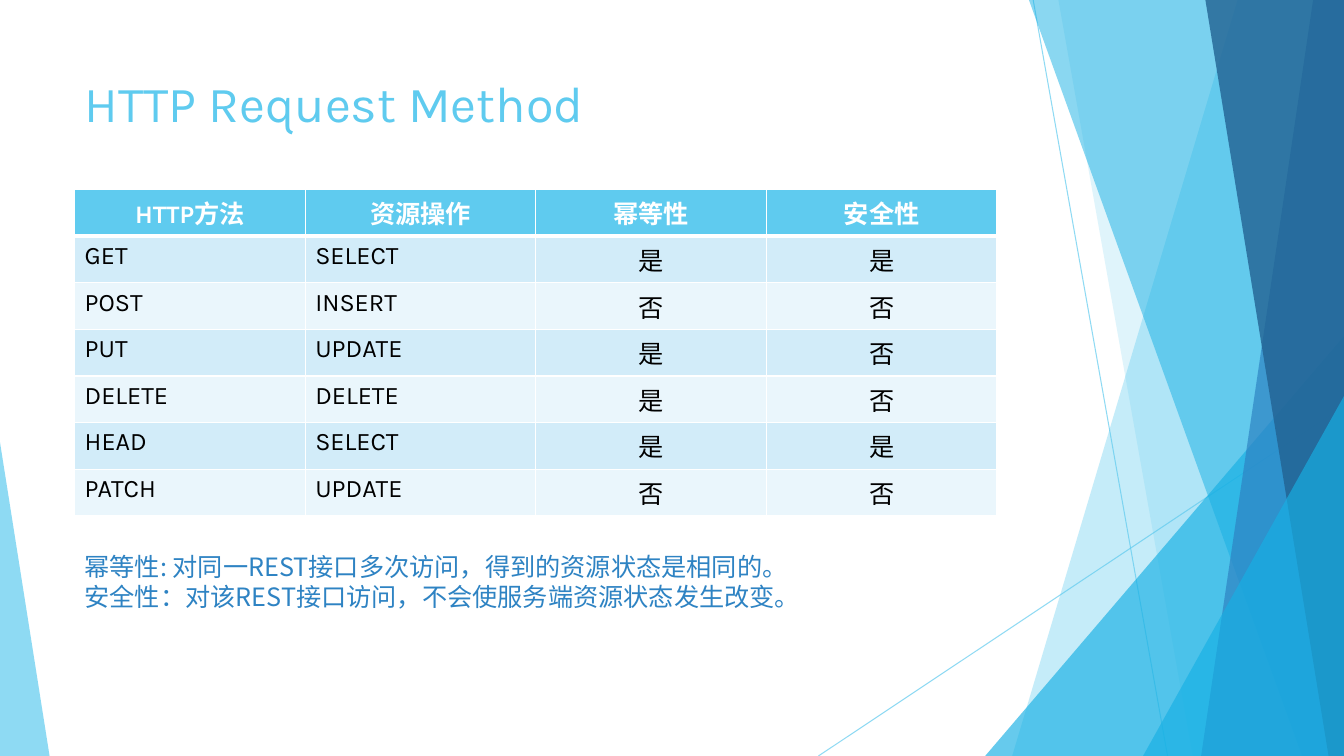
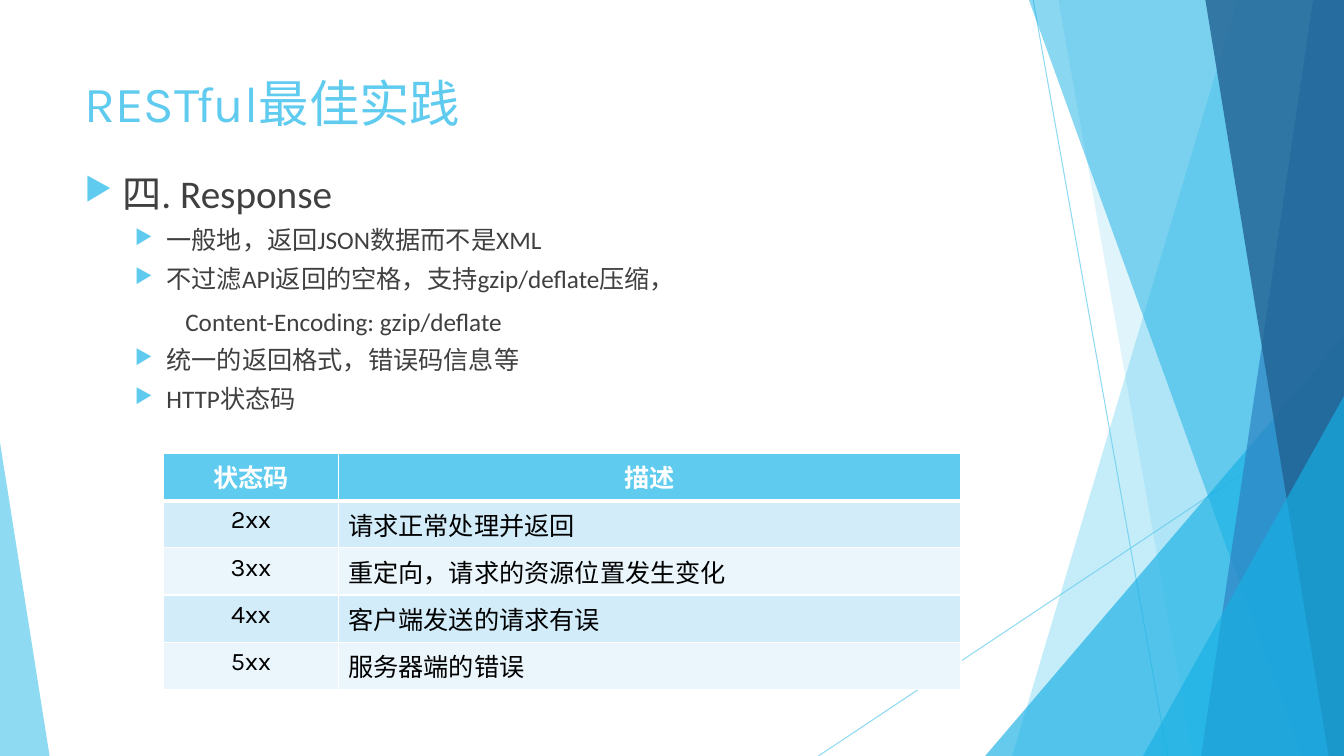
from lxml import etree
from pptx import Presentation
from pptx.dml.color import RGBColor
from pptx.enum import shapes, text
from pptx.oxml.ns import qn
from pptx.util import Pt

WIDTH, HEIGHT = 960, 540
LEFT = 53.3
SKY, CYAN, BLUE, NAVY = "5FCBEF", "17B0E4", "2E83C3", "226292"
WHITE, BLACK, GREY = "FFFFFF", "000000", "404040"
BANDS = ("D2ECF9", "EAF6FC")
LATIN, BODY, CHINESE = "Karla", "Calibri", "Noto Sans CJK SC"
CENTER, START = text.PP_ALIGN.CENTER, text.PP_ALIGN.LEFT

TITLE = dict(size=Pt(36), name=LATIN, bold=False)
CELL = dict(size=Pt(18), name=LATIN, bold=False)
HEADER = dict(CELL, bold=True)
NOTE = dict(size=Pt(18), name=CHINESE)
HEADING = dict(size=Pt(28), name=BODY)
POINT = dict(size=Pt(18), name=BODY)

# Background: lines (from, to), then facets from back to front
LINES = [((738, 0), (834, HEIGHT)), ((WIDTH, 290), (584.6, HEIGHT))]
# A facet with corners: top left x, bottom left x; it reaches the right edge.
# A triangle: box and the position of its apex.
FACETS = [
    ("band", (884, 723), SKY, 36),
    ("band", (756, 852), SKY, 20),
    ("triangle", (703.7, 240, 256.3, 300, 1), CYAN, 66),
    ("band", (735, 929.5), CYAN, 50),
    ("band", (938, 858.5), BLUE, 70),
    ("band", (861, 949), NAVY, 80),
    ("triangle", (816.5, 283, 143.5, 257, 1), CYAN, 66),
    ("triangle", (0, 316, 35.4, 224, 0), SKY, 70),
]


def paint(fill, color):
    fill.solid()
    fill.fore_color.rgb = RGBColor.from_string(color)


def add_xml(parent, tag, **attributes):
    return etree.SubElement(parent, qn(tag), attributes)


def set_opacity(shape, percent):
    for color in shape.element.spPr.iter(qn("a:srgbClr")):
        add_xml(color, "a:alpha", val=str(percent * 1000))


def write(para, words, look, color):
    span = para.add_run()
    span.text = words
    paint(span.font.fill, color)
    for key, value in look.items():
        setattr(span.font, key, value)
    add_xml(span._r.get_or_add_rPr(), "a:ea", typeface=CHINESE)


def add_text_box(page, left, top, width, height):
    box = page.shapes.add_textbox(Pt(left), Pt(top), Pt(width), Pt(height))
    box.text_frame.word_wrap = True
    return box.text_frame


def next_para(frame, index):
    return frame.add_paragraph() if index else frame.paragraphs[0]


def draw_background(page):
    for start, end in LINES:
        line = page.shapes.add_connector(
            shapes.MSO_CONNECTOR.STRAIGHT, *map(Pt, start + end))
        line.line.width = Pt(0.75)
        paint(line.line.fill, SKY)
        set_opacity(line, 70)
        add_xml(line.element.spPr, "a:effectLst")

    for kind, geometry, color, opacity in FACETS:
        if kind == "band":
            top_x, bottom_x = geometry
            outline = page.shapes.build_freeform(top_x, 0, scale=Pt(1))
            outline.add_line_segments(
                [(WIDTH, 0), (WIDTH, HEIGHT), (bottom_x, HEIGHT)], close=True)
            facet = outline.convert_to_shape()
        else:
            *box, apex = geometry
            facet = page.shapes.add_shape(
                shapes.MSO_SHAPE.ISOSCELES_TRIANGLE, *map(Pt, box))
            facet.adjustments[0] = apex
        facet.shadow.inherit = False
        facet.line.fill.background()
        paint(facet.fill, color)
        set_opacity(facet, opacity)


def start_page(deck, title, title_height):
    page = deck.slides.add_slide(deck.slide_layouts[6])
    draw_background(page)
    frame = add_text_box(page, LEFT, 48.2, 677, title_height)
    frame.auto_size = text.MSO_AUTO_SIZE.TEXT_TO_FIT_SHAPE
    write(frame.paragraphs[0], title, TITLE, SKY)
    return page


def set_borders(cell, widths):
    properties = cell._tc.get_or_add_tcPr()
    for index, (side, width) in enumerate(widths.items()):
        border = etree.Element(qn(f"a:ln{side}"), w=str(Pt(width)))
        color = add_xml(border, "a:solidFill")
        add_xml(color, "a:srgbClr", val=WHITE)
        properties.insert(index, border)


def draw_table(page, left, top, widths, row_height, rows, alignments):
    table = page.shapes.add_table(
        len(rows), len(widths), Pt(left), Pt(top),
        Pt(sum(widths)), Pt(row_height * len(rows))).table
    table.horz_banding = False
    for column, width in zip(table.columns, widths):
        column.width = Pt(width)
    for r, row in enumerate(rows):
        table.rows[r].height = Pt(row_height)
        for c, words in enumerate(row):
            cell = table.cell(r, c)
            para = cell.text_frame.paragraphs[0]
            para.alignment = alignments[c] if r else CENTER
            write(para, words, CELL if r else HEADER, BLACK if r else WHITE)
            paint(cell.fill, BANDS[(r - 1) % 2] if r else SKY)
            set_borders(cell, dict(L=1, R=1, T=3 if r == 1 else 1,
                                   B=1 if r else 3))


def draw_notes(page, left, top, width, height, notes):
    frame = add_text_box(page, left, top, width, height)
    for index, words in enumerate(notes):
        write(next_para(frame, index), words, NOTE, BLUE)


def indent(para, margin, hanging, bullet):
    properties = para._p.get_or_add_pPr()
    properties.set("marL", str(Pt(margin)))
    properties.set("indent", str(Pt(-hanging)))
    if bullet:
        color = add_xml(properties, "a:buClr")
        add_xml(color, "a:srgbClr", val=SKY)
        add_xml(properties, "a:buSzPct", val="80000")
        add_xml(properties, "a:buChar", char="▶")


def draw_outline(page, left, top, width, height, items):
    levels = {  # look, margin, hanging, space before, bullet
        "heading": (HEADING, 27, 27, 0, True),
        "point": (POINT, 58.5, 22.5, 8, True),
        "detail": (POINT, 72, 0, 11.5, False),
    }
    frame = add_text_box(page, left, top, width, height)
    for index, (level, words) in enumerate(items):
        look, margin, hanging, space, bullet = levels[level]
        para = next_para(frame, index)
        para.line_spacing = 0.9
        para.space_before = Pt(space)
        indent(para, margin, hanging, bullet)
        write(para, words, look, GREY)


def build_methods_page(deck):
    page = start_page(deck, "HTTP Request Method", 60)
    rows = [
        ("HTTP方法", "资源操作", "幂等性", "安全性"),
        ("GET", "SELECT", "是", "是"),
        ("POST", "INSERT", "否", "否"),
        ("PUT", "UPDATE", "是", "否"),
        ("DELETE", "DELETE", "是", "否"),
        ("HEAD", "SELECT", "是", "是"),
        ("PATCH", "UPDATE", "否", "否"),
    ]
    draw_table(page, LEFT, 135.5, [164.7] * 4, 32.6, rows,
               (START, START, CENTER, CENTER))
    draw_notes(page, LEFT, 390, 594, 51, [
        "幂等性: 对同一REST接口多次访问，得到的资源状态是相同的。",
        "安全性：对该REST接口访问，不会使服务端资源状态发生改变。",
    ])


def build_response_page(deck):
    page = start_page(deck, "RESTful最佳实践", 54.7)
    draw_outline(page, LEFT, 121, 677, 389.5, [
        ("heading", "四. Response"),
        ("point", "一般地，返回JSON数据而不是XML"),
        ("point", "不过滤API返回的空格，支持gzip/deflate压缩，"),
        ("detail", "Content-Encoding: gzip/deflate"),
        ("point", "统一的返回格式，错误码信息等"),
        ("point", "HTTP状态码"),
    ])
    rows = [
        ("状态码", "描述"),
        ("2xx", "请求正常处理并返回"),
        ("3xx", "重定向，请求的资源位置发生变化"),
        ("4xx", "客户端发送的请求有误"),
        ("5xx", "服务器端的错误"),
    ]
    draw_table(page, 117, 324, [124.5, 445], 33.7, rows, (CENTER, START))


def main():
    deck = Presentation()
    deck.slide_width, deck.slide_height = Pt(WIDTH), Pt(HEIGHT)
    build_methods_page(deck)
    build_response_page(deck)
    deck.save("out.pptx")


if __name__ == "__main__":
    main()
